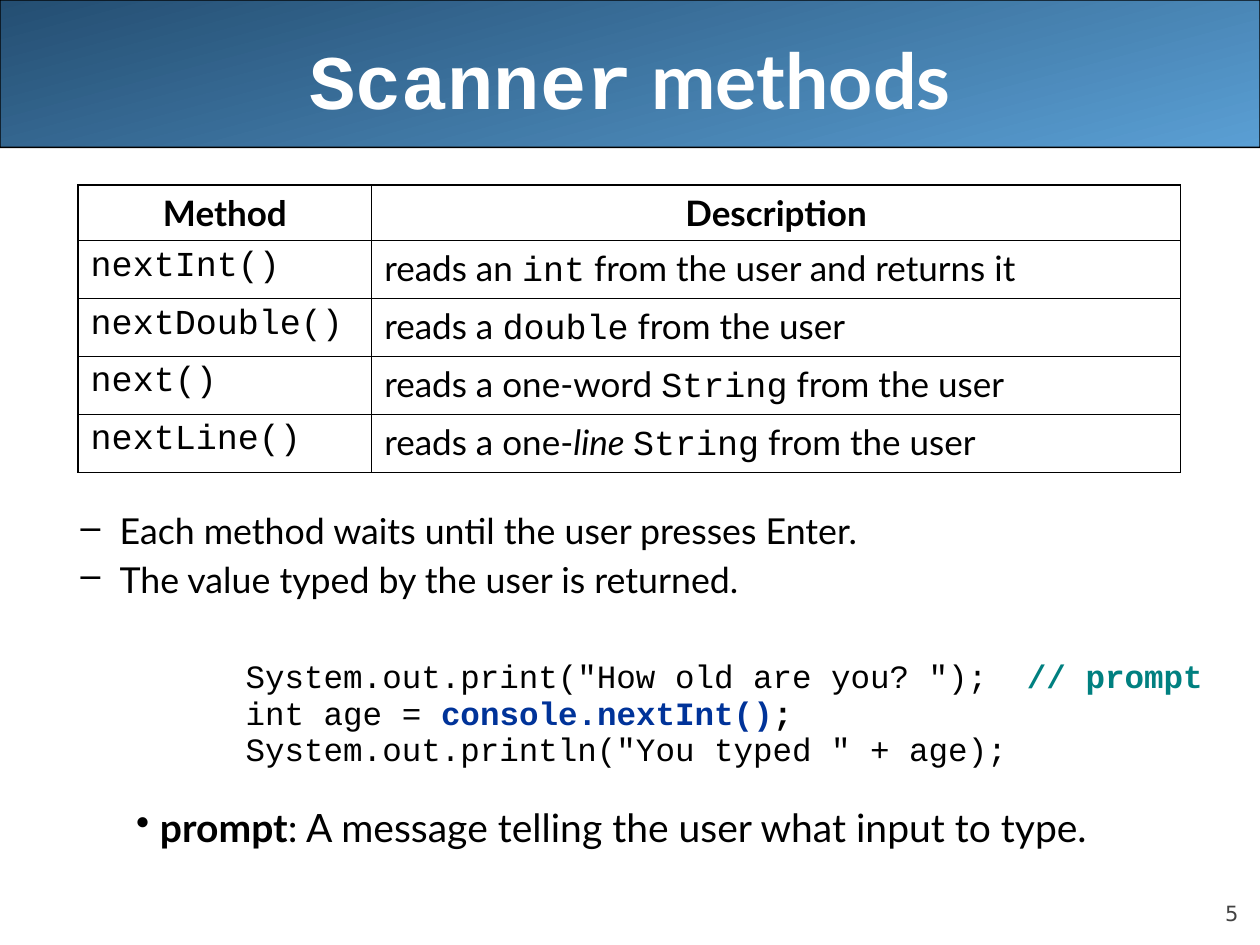
from dataclasses import dataclass, field

import pptx
import pptx.dml.color
import pptx.enum.shapes
import pptx.enum.text
import pptx.oxml
import pptx.oxml.ns
import pptx.util

COLORS = {
    "ink": "000000", "paper": "FFFFFF", "number": "424242",
    "comment": "008080", "call": "003399",
    "banner_dark": "244E72", "banner_light": "5A9FD4",
}
BODY, CODE, NUMBER = "Lato", "Courier New", "DejaVu Sans"
ALIGN = pptx.enum.text.PP_ALIGN
ANCHOR = pptx.enum.text.MSO_ANCHOR

# The slide is a grid of 100 columns by 75 rows
SLIDE_WIDTH, SLIDE_HEIGHT = pptx.util.Inches(10), pptx.util.Inches(7.5)
COLUMN, ROW = SLIDE_WIDTH / 100, SLIDE_HEIGHT / 75
OUTER_LINE, INNER_LINE = 1.08, 0.45


@dataclass
class Piece:
    text: str
    font: str = BODY
    color: str = "ink"
    bold: bool = False
    italic: bool = False


@dataclass
class Line:
    pieces: list[Piece]
    size: float
    format: dict = field(default_factory=dict)
    bullet: str = ""
    margin: float = 0
    indent: float = 0


def rgb(name: str) -> pptx.dml.color.RGBColor:
    return pptx.dml.color.RGBColor.from_string(COLORS[name])


def apply(target, values: dict) -> None:
    for name, value in values.items():
        setattr(target, name, value)


def box(left: float, top: float, width: float, height: float) -> dict:
    return {"left": int(left * COLUMN), "top": int(top * ROW),
            "width": int(width * COLUMN), "height": int(height * ROW)}


def drawing_element(tag: str, content: str = "", attributes: str = ""):
    namespace = pptx.oxml.ns.nsdecls("a")
    return pptx.oxml.parse_xml(f"<a:{tag} {namespace} {attributes}>{content}</a:{tag}>")


def solid(name: str) -> str:
    return f'<a:solidFill><a:srgbClr val="{COLORS[name]}"/></a:solidFill>'


def write_lines(frame, lines: list[Line]) -> None:
    for index, line in enumerate(lines):
        paragraph = frame.paragraphs[0] if index == 0 else frame.add_paragraph()
        properties = paragraph._p.get_or_add_pPr()
        if line.margin:
            properties.set("marL", str(int(line.margin * COLUMN)))
            properties.set("indent", str(int(line.indent * COLUMN)))
        if line.bullet:
            properties.append(drawing_element("buClr", f'<a:srgbClr val="{COLORS["ink"]}"/>'))
            properties.append(drawing_element("buChar", attributes=f'char="{line.bullet}"'))
        apply(paragraph, line.format)
        for piece in line.pieces:
            run = paragraph.add_run()
            run.text = piece.text
            apply(run.font, {"name": piece.font, "size": pptx.util.Pt(line.size),
                             "bold": piece.bold, "italic": piece.italic})
            run.font.color.rgb = rgb(piece.color)


def add_text(slide, place: dict, lines: list[Line], anchor=ANCHOR.TOP) -> None:
    frame = slide.shapes.add_textbox(*place.values()).text_frame
    apply(frame, {"word_wrap": True, "vertical_anchor": anchor, "margin_left": 0,
                  "margin_top": 0, "margin_right": 0, "margin_bottom": 0})
    write_lines(frame, lines)


def add_banner(slide) -> None:
    banner = slide.shapes.add_shape(
        pptx.enum.shapes.MSO_SHAPE.ROUNDED_RECTANGLE, *box(0, 0, 100, 11.7).values())
    banner.adjustments[0] = 0.001
    banner.shadow.inherit = False
    banner.fill.gradient()
    banner.fill.gradient_angle = 285
    for stop, name, position in zip(banner.fill.gradient_stops,
                                    ("banner_dark", "banner_light"), (0, 1)):
        stop.color.rgb = rgb(name)
        stop.position = position
    banner.line.color.rgb = rgb("ink")
    banner.line.width = pptx.util.Pt(0.75)
    slide.shapes._spTree.insert(2, banner._element)  # behind the title


def set_borders(cell, outer: dict[str, bool]) -> None:
    properties = cell._tc.get_or_add_tcPr()
    for side, is_outer in outer.items():
        width = pptx.util.Pt(OUTER_LINE if is_outer else INNER_LINE)
        properties.append(drawing_element(side, solid("ink"), f'w="{int(width)}"'))
    cell.fill.background()


def add_method_table(slide, rows: list[list[list[Piece]]]) -> None:
    widths, heights = (23.3, 64.2), [4.4] + [4.6] * (len(rows) - 1)
    place = box(6.2, 14.7, sum(widths), sum(heights))
    table = slide.shapes.add_table(len(rows), len(widths), *place.values()).table
    for column, width in zip(table.columns, widths):
        column.width = int(width * COLUMN)
    for row, height in zip(table.rows, heights):
        row.height = int(height * ROW)
    last_row, last_column = len(rows) - 1, len(widths) - 1
    for r, row_cells in enumerate(rows):
        for c, pieces in enumerate(row_cells):
            cell = table.cell(r, c)
            alignment = ALIGN.CENTER if r == 0 else ALIGN.LEFT
            write_lines(cell.text_frame, [Line(pieces, 20, {"alignment": alignment})])
            set_borders(cell, {"lnL": c == 0, "lnR": c == last_column,
                               "lnT": r == 0, "lnB": r == last_row})


def code(text: str, color: str = "ink", bold: bool = False) -> Piece:
    return Piece(text, CODE, color, bold)


def spacing(line_spacing: float, before: float = 0) -> dict:
    return {"line_spacing": line_spacing, "space_before": pptx.util.Pt(before)}


def dash_line(text: str, before: float) -> Line:
    return Line([Piece(text)], 20.4, spacing(0.9, before), "–", 6.8, -3.1)


def code_line(pieces: list[Piece], before: float) -> Line:
    return Line(pieces, 18.6, spacing(pptx.util.Pt(15.9), before), margin=16.8)


METHOD_ROWS = [
    [[Piece("Method", bold=True)], [Piece("Description", bold=True)]],
    [[code("nextInt()")],
     [Piece("reads an "), code("int"), Piece(" from the user and returns it")]],
    [[code("nextDouble()")],
     [Piece("reads a "), code("double"), Piece(" from the user")]],
    [[code("next()")],
     [Piece("reads a one-word "), code("String"), Piece(" from the user")]],
    [[code("nextLine()")],
     [Piece("reads a one-"), Piece("line ", italic=True), code("String"),
      Piece(" from the user")]],
]

BODY_LINES = [
    dash_line("Each method waits until the user presses Enter.", 0),
    dash_line("The value typed by the user is returned.", 5.5),
    code_line([code('System.out.print("How old are you? ");  '),
               code("// prompt", "comment", True)], 38),
    code_line([code("int age = "), code("console.nextInt()", "call", True),
               code(";", bold=True)], 5),
    code_line([code('System.out.println("You typed " + age);')], 5),
    Line([Piece("prompt", bold=True),
          Piece(": A message telling the user what input to type.")],
         22.3, spacing(0.9, 23), "•", 10, -1.9),
]


def main() -> None:
    presentation = pptx.Presentation()
    apply(presentation, {"slide_width": SLIDE_WIDTH, "slide_height": SLIDE_HEIGHT})
    slide = presentation.slides.add_slide(presentation.slide_layouts.get_by_name("Title Only"))

    # Banner and title
    add_banner(slide)
    title = slide.shapes.title
    apply(title, box(5, 0, 90, 12.5))
    apply(title.text_frame, {"vertical_anchor": ANCHOR.MIDDLE, "word_wrap": True,
                             "auto_size": pptx.enum.text.MSO_AUTO_SIZE.NONE})
    write_lines(title.text_frame, [Line(
        [code("Scanner", "paper", True), Piece(" methods", color="paper", bold=True)],
        44, {"alignment": ALIGN.CENTER})])

    # Method table, then explanation and code sample
    add_method_table(slide, METHOD_ROWS)
    add_text(slide, box(2.7, 40.8, 96.3, 29), BODY_LINES)

    # Slide number
    add_text(slide, box(90, 69.5, 8.3, 4),
             [Line([Piece("5", NUMBER, "number")], 12, {"alignment": ALIGN.RIGHT})],
             ANCHOR.BOTTOM)

    presentation.save("out.pptx")


if __name__ == "__main__":
    main()
